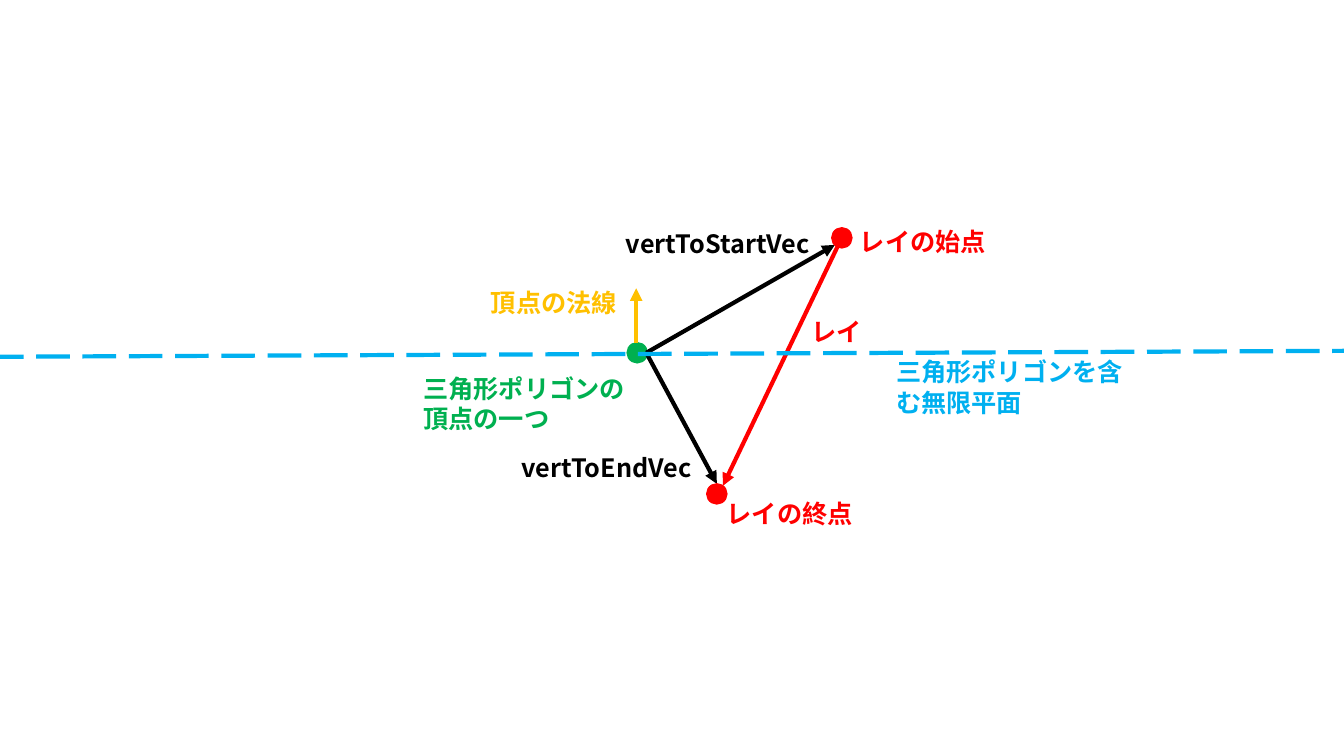
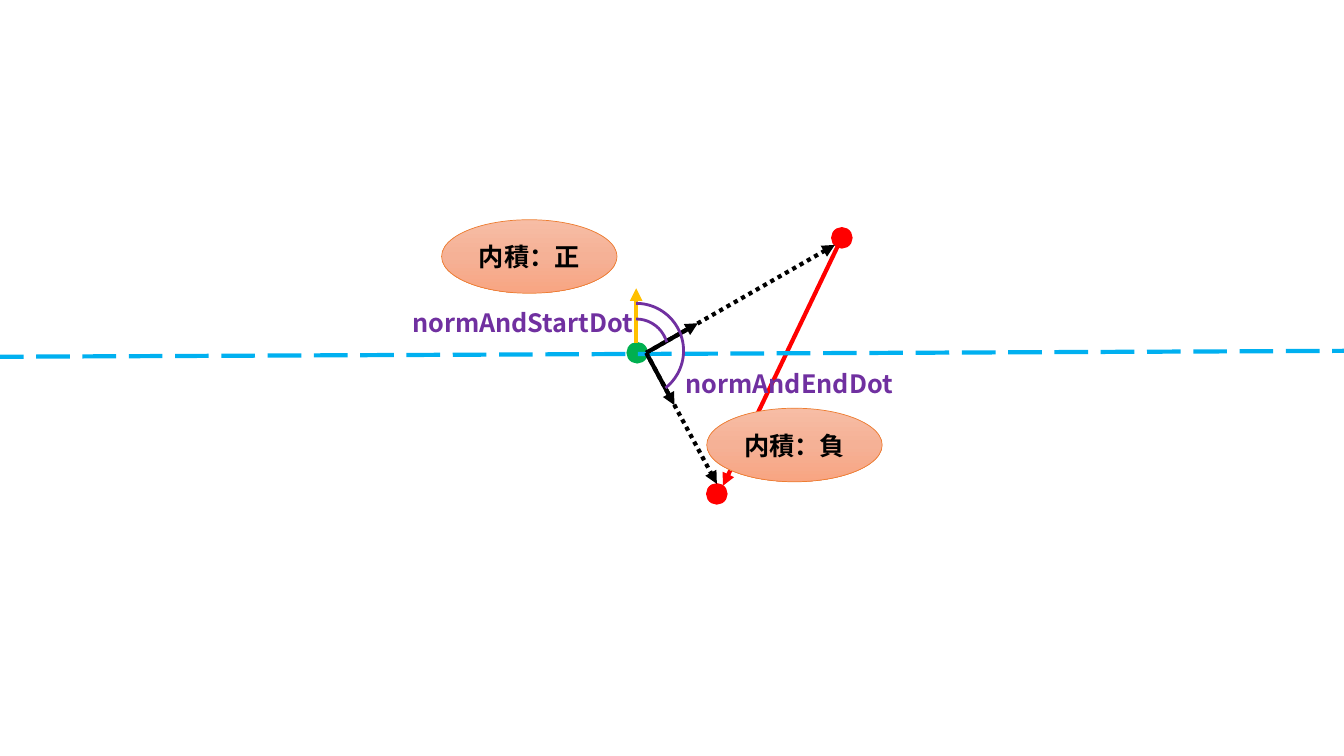
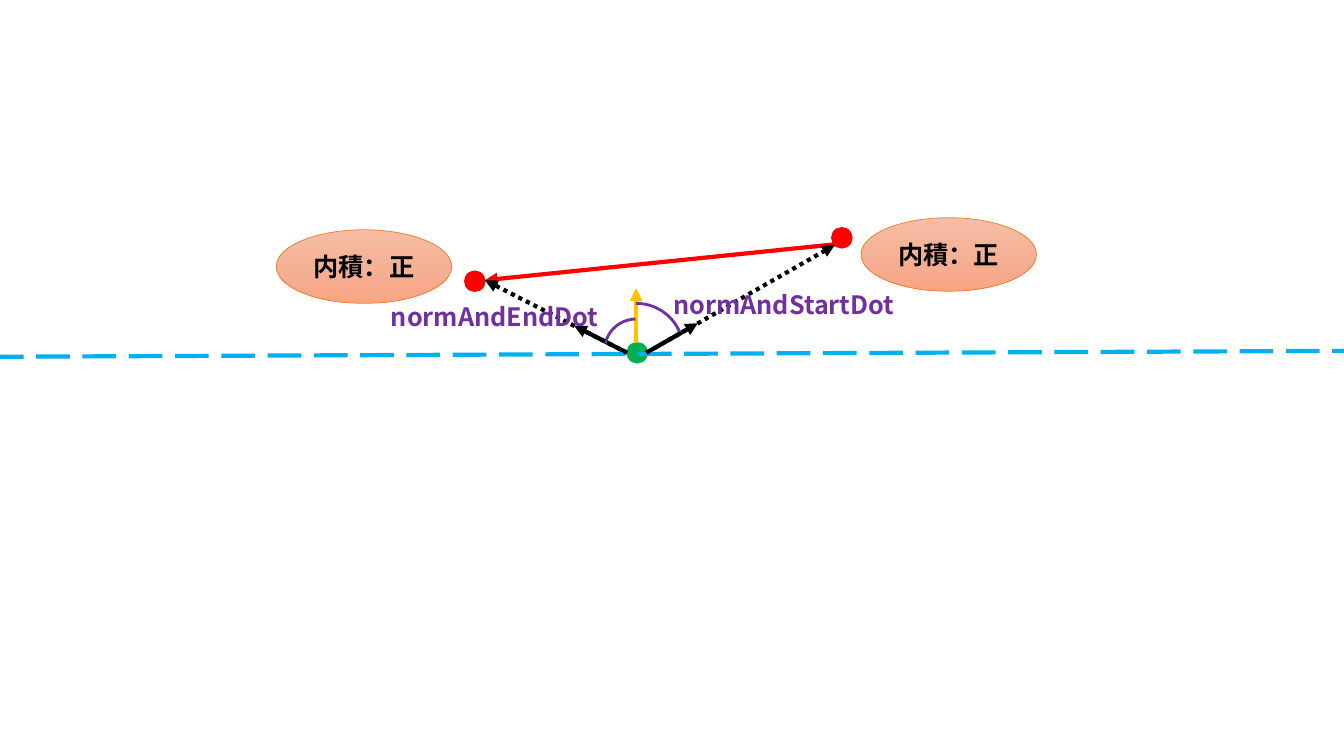
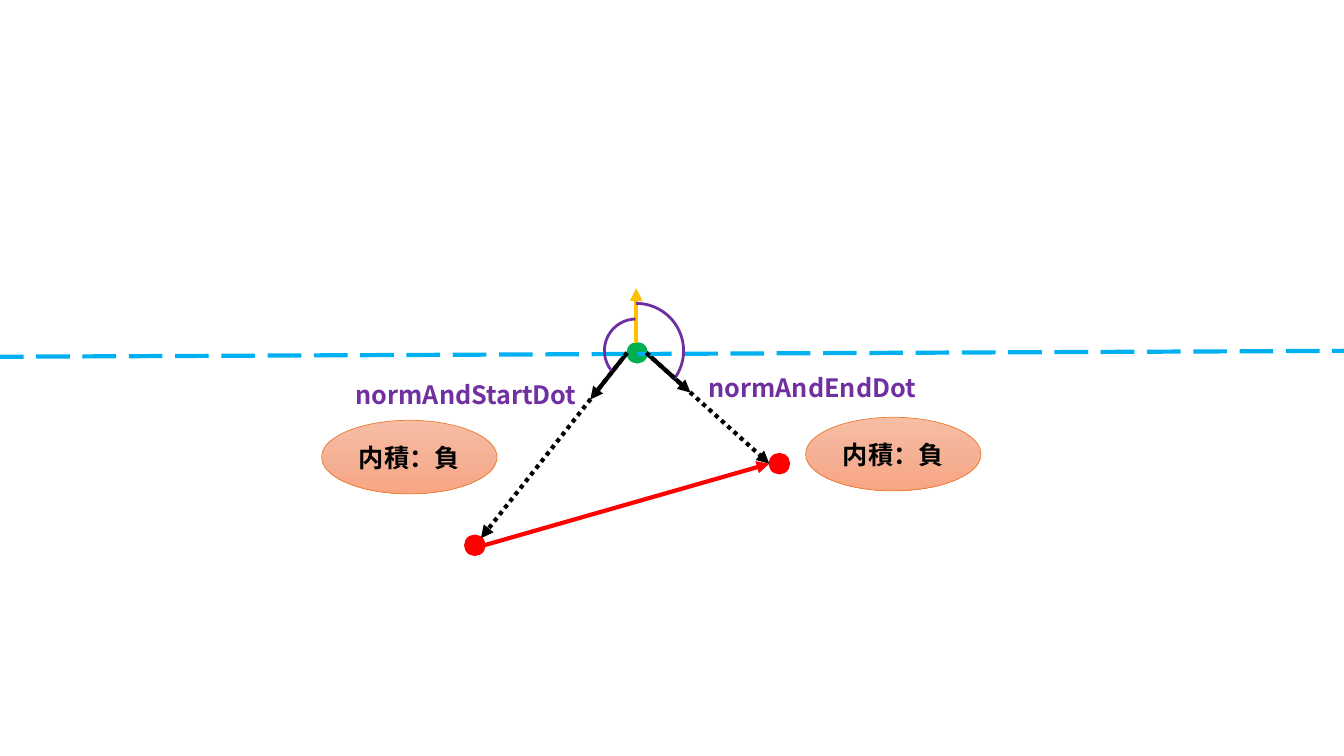
from copy import deepcopy
from math import dist

from lxml import etree
from pptx import Presentation
from pptx.dml.color import RGBColor
from pptx.enum.dml import MSO_LINE
from pptx.enum.shapes import MSO_CONNECTOR, MSO_SHAPE
from pptx.enum.text import MSO_ANCHOR, MSO_AUTO_SIZE, PP_ALIGN
from pptx.oxml.ns import qn
from pptx.util import Inches, Pt

STRAIGHT = MSO_CONNECTOR.STRAIGHT
OVAL, ARC = MSO_SHAPE.OVAL, MSO_SHAPE.ARC
LONG_DASH, DOTS = MSO_LINE.LONG_DASH, MSO_LINE.ROUND_DOT
MIDDLE, CENTER = MSO_ANCHOR.MIDDLE, PP_ALIGN.CENTER
GROW = MSO_AUTO_SIZE.SHAPE_TO_FIT_TEXT

FONT = "Noto Sans CJK JP"
COLORS = {
    "vertex": "00B050",
    "normal": "FFC000",
    "ray": "FF0000",
    "vector": "000000",
    "plane": "00B0F0",
    "angle": "7030A0",
    "badge_line": "ED7D31",
    "badge_top": "F7BDA5",
    "badge_mid": "F5B196",
    "badge_end": "F8A582",
}

DOT = 0.2
VERTEX = (6.32, 3.5)
VERTEX_LEFT, VERTEX_RIGHT = (6.22, 3.5), (6.41, 3.5)
ARC_CENTER = (6.31, 3.48)
SMALL_ARC, LARGE_ARC = 0.63, 0.94
UNIT = 0.59
UP = 270
POSITIVE, NEGATIVE = "内積：正", "内積：負"

# Ray end points and vector tips of the crossing ray
START, END = (8.35, 2.36), (7.11, 4.9)
START_TIP, END_TIP = (8.28, 2.43), (7.11, 4.8)
RAY = ((8.32, 2.42), (7.17, 4.82))


def rgb(name):
    """Return the named colour."""
    return RGBColor.from_string(COLORS[name])


def style_text(tf, text, color):
    """Write one bold paragraph into a text frame."""
    tf.word_wrap = True
    p = tf.paragraphs[0]
    p.text = text
    p.font.size = Pt(18)
    p.font.bold = True
    p.font.color.rgb = rgb(color)
    p.font.name = FONT
    props = p._p.pPr.find(qn("a:defRPr"))
    etree.SubElement(props, qn("a:ea")).set("typeface", FONT)
    return p


def add_label(s, text, left, top, color, width=2.47, height=0.4):
    """Add a text label."""
    tf = s.shapes.add_textbox(Inches(left), Inches(top),
                              Inches(width), Inches(height)).text_frame
    style_text(tf, text, color)
    tf.auto_size = GROW


def add_line(s, begin, end, color, dash=None, arrow=True):
    """Add a line between two points, by default with an arrowhead."""
    line = s.shapes.add_connector(STRAIGHT, *map(Inches, begin + end))
    line.line.color.rgb = rgb(color)
    line.line.width = Pt(3)
    if dash:
        line.line.dash_style = dash
    if arrow:
        etree.SubElement(line.line._get_or_add_ln(),
                         qn("a:tailEnd")).set("type", "triangle")
    etree.SubElement(line._element.spPr, qn("a:effectLst"))


def add_centered(s, kind, center, size):
    """Add a square-framed preset shape around a point."""
    x, y = center
    shape = s.shapes.add_shape(kind, Inches(x - size / 2), Inches(y - size / 2),
                               Inches(size), Inches(size))
    shape.shadow.inherit = False
    return shape


def add_dot(s, center, color):
    """Add a filled point."""
    dot = add_centered(s, OVAL, center, DOT)
    dot.fill.solid()
    dot.fill.fore_color.rgb = rgb(color)
    dot.line.color.rgb = rgb(color)
    dot.line.width = Pt(1)


def add_arc(s, size, begin, end):
    """Add an angle arc, clockwise between two angles in degrees."""
    arc = add_centered(s, ARC, ARC_CENTER, size)
    arc.adjustments[0] = begin * 0.6
    arc.adjustments[1] = end * 0.6
    arc.fill.background()
    arc.line.color.rgb = rgb("angle")
    arc.line.width = Pt(2)


def add_badge(s, text, left, top):
    """Add a gradient oval that gives the sign of a dot product."""
    badge = s.shapes.add_shape(OVAL, Inches(left), Inches(top),
                               Inches(1.74), Inches(0.73))
    badge.shadow.inherit = False
    badge.fill.gradient()
    badge.fill.gradient_angle = 270
    stops = badge._element.spPr.find(".//" + qn("a:gsLst"))
    stops.insert(1, deepcopy(stops[0]))
    names = ("badge_top", "badge_mid", "badge_end")
    for i, (stop, name) in enumerate(zip(badge.fill.gradient_stops, names)):
        stop.position = i / 2
        stop.color.rgb = rgb(name)
    badge.line.color.rgb = rgb("badge_line")
    badge.line.width = Pt(0.5)
    badge.text_frame.vertical_anchor = MIDDLE
    style_text(badge.text_frame, text, "vector").alignment = CENTER


def vector_origin(tip):
    """Return the side of the vertex that faces the tip."""
    return VERTEX_RIGHT if tip[0] > VERTEX[0] else VERTEX_LEFT


def unit_tip(tip):
    """Return the tip of the unit vector that points at the given tip."""
    origin = vector_origin(tip)
    scale = UNIT / dist(origin, tip)
    return tuple(a + (b - a) * scale for a, b in zip(origin, tip))


def add_diagram(prs, ray, vector_tips, points):
    """Add a slide with vertex, normal, ray, vectors and plane."""
    s = prs.slides.add_slide(prs.slide_layouts[6])
    add_dot(s, VERTEX, "vertex")
    add_line(s, (6.31, 3.4), (6.31, 2.86), "normal")
    add_line(s, *ray, "ray")
    for tip in vector_tips:
        add_line(s, vector_origin(tip), tip, "vector")
    add_line(s, (-0.1, 3.54), (13.49, 3.48), "plane", LONG_DASH, arrow=False)
    for point in points:
        add_dot(s, point, "ray")
    return s


def add_angle_slide(prs, ray, tips, points, arcs, labels, badges):
    """Add a slide that shows the angles between normal and unit vectors."""
    s = add_diagram(prs, ray, [unit_tip(tip) for tip in tips], points)
    for size, angles in zip((SMALL_ARC, LARGE_ARC), arcs):
        add_arc(s, size, *angles)
    for tip in tips:
        add_line(s, vector_origin(tip), tip, "vector", DOTS)
    for text, place in zip(("normAndStartDot", "normAndEndDot"), labels):
        add_label(s, text, *place, "angle")
    for badge in badges:
        add_badge(s, *badge)


def add_overview_slide(prs):
    """Add the slide that names every part of the diagram."""
    s = add_diagram(prs, RAY, (START_TIP, END_TIP), (START, END))
    add_label(s, "三角形ポリゴンの頂点の一つ", 4.1, 3.65, "vertex", 2.22, 0.71)
    add_label(s, "頂点の法線", 4.77, 2.8, "normal")
    add_label(s, "レイ", 7.95, 3.09, "ray")
    add_label(s, "レイの始点", 8.43, 2.2, "ray")
    add_label(s, "レイの終点", 7.11, 4.89, "ray")
    add_label(s, "三角形ポリゴンを含む無限平面", 8.79, 3.49, "plane", height=0.71)
    add_label(s, "vertToStartVec", 6.11, 2.22, "vector")
    add_label(s, "vertToEndVec", 5.07, 4.44, "vector")


def main():
    """Build the four slides and save them."""
    prs = Presentation()
    prs.slide_width, prs.slide_height = Inches(13.33), Inches(7.5)
    add_overview_slide(prs)
    # Ray crosses the plane
    add_angle_slide(
        prs, RAY, (START_TIP, END_TIP), (START, END),
        arcs=((UP, 344.25), (UP, 51.77)),
        labels=((3.99, 3), (6.7, 3.6)),
        badges=((POSITIVE, 4.38, 2.18), (NEGATIVE, 7.01, 4.05)))
    # Ray stays above the plane
    add_angle_slide(
        prs, ((8.32, 2.42), (4.81, 2.78)),
        (START_TIP, (4.81, 2.78)), (START, (4.71, 2.79)),
        arcs=((194.09, 268.75), (UP, 336.59)),
        labels=((6.58, 2.82), (3.78, 2.94)),
        badges=((POSITIVE, 2.74, 2.28), (POSITIVE, 8.54, 2.16)))
    # Ray stays below the plane
    add_angle_slide(
        prs, ((4.8, 5.41), (7.63, 4.6)),
        ((4.77, 5.34), (7.63, 4.6)), ((4.71, 5.41), (7.73, 4.6)),
        arcs=((141.36, 268.75), (UP, 35.73)),
        labels=((3.43, 3.71), (6.93, 3.64)),
        badges=((NEGATIVE, 3.19, 4.17), (NEGATIVE, 7.99, 4.14)))
    prs.save("out.pptx")


if __name__ == "__main__":
    main()
